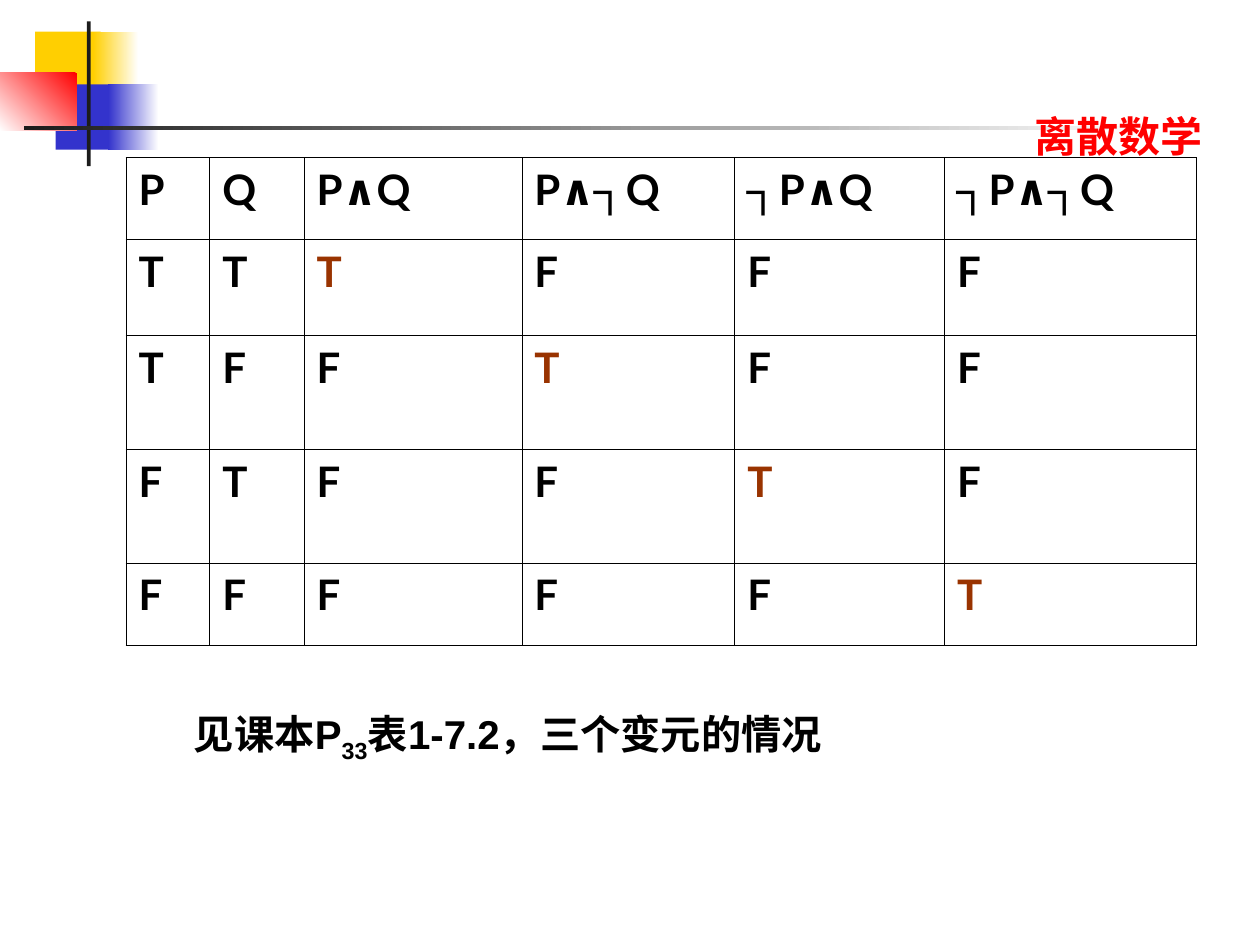
from lxml import etree
from pptx import Presentation
from pptx.dml.color import RGBColor
from pptx.enum.shapes import MSO_SHAPE
from pptx.enum.text import MSO_AUTO_SIZE, PP_ALIGN
from pptx.oxml.ns import qn
from pptx.util import Cm, Pt

RECTANGLE = MSO_SHAPE.RECTANGLE
GROW = MSO_AUTO_SIZE.SHAPE_TO_FIT_TEXT
LEFT, CENTER = PP_ALIGN.LEFT, PP_ALIGN.CENTER

WHITE = RGBColor(0xFF, 0xFF, 0xFF)
BLACK = RGBColor(0x00, 0x00, 0x00)
CHARCOAL = RGBColor(0x1C, 0x1C, 0x1C)
YELLOW = RGBColor(0xFF, 0xCF, 0x01)
BLUE = RGBColor(0x33, 0x33, 0xCC)
RED = RGBColor(0xFF, 0x00, 0x00)
BROWN = RGBColor(0x99, 0x33, 0x00)

HEADINGS = ["P", "Q", "P∧Q", "P∧┐Q", "┐P∧Q", "┐P∧┐Q"]
TRUTH_VALUES = ["TTTFFF", "TFFTFF", "FTFFTF", "FFFFFT"]
COLUMN_WIDTHS = [1.69, 1.9, 4.39, 4.29, 4.23, 5.08]
ROW_HEIGHTS = [1.65, 1.94, 2.29, 2.29, 1.65]
FIRST_MINTERM_COLUMN = 2


def write_text(paragraph, text, font="Lato", size=24, color=BLACK, align=LEFT, baseline=None):
    paragraph.alignment = align
    run = paragraph.add_run()
    run.text = text
    run.font.name = font
    run.font.size = Pt(size)
    run.font.bold = True
    run.font.color.rgb = color
    if baseline is not None:
        run.font._element.set("baseline", str(baseline * 1000))


def add_text_box(slide, left, top, width, height):
    shape = slide.shapes.add_textbox(Cm(left), Cm(top), Cm(width), Cm(height))
    shape.text_frame.word_wrap = True
    shape.text_frame.auto_size = GROW
    return shape.text_frame.paragraphs[0]


def add_block(slide, left, top, width, height, colors, angle=180):
    shape = slide.shapes.add_shape(RECTANGLE, Cm(left), Cm(top), Cm(width), Cm(height))
    shape.shadow.inherit = False
    shape.line.fill.background()
    if len(colors) == 1:
        shape.fill.solid()
        shape.fill.fore_color.rgb = colors[0]
        return
    shape.fill.gradient()
    shape.fill.gradient_angle = angle
    for stop, color in zip(shape.fill.gradient_stops, colors):
        stop.color.rgb = color


def add_emblem(slide, left, top):
    add_block(slide, left + 0.71, top + 0.21, 1.32, 1.32, [YELLOW])
    add_block(slide, left + 1.88, top + 0.21, 0.91, 1.32, [WHITE, YELLOW])
    add_block(slide, left + 1.12, top + 1.27, 1.17, 1.32, [BLUE])
    add_block(slide, left + 2.18, top + 1.27, 1.02, 1.32, [WHITE, BLUE])
    add_block(slide, left, top + 1.04, 1.55, 1.17, [RED, WHITE], angle=225)
    add_block(slide, left + 1.75, top, 0.08, 2.92, [CHARCOAL])
    add_block(slide, left + 0.48, top + 2.11, 22.86, 0.08, [WHITE, CHARCOAL])


def add_course_name(slide, left, top, width, height):
    paragraph = add_text_box(slide, left, top, width, height)
    write_text(paragraph, "离散数学", color=RED)


def add_cell_borders(cell, color, width):
    properties = cell._tc.get_or_add_tcPr()
    for index, side in enumerate(["a:lnL", "a:lnR", "a:lnT", "a:lnB"]):
        line = etree.Element(qn(side), w=str(Pt(width)))
        fill = etree.SubElement(line, qn("a:solidFill"))
        etree.SubElement(fill, qn("a:srgbClr"), val=str(color))
        properties.insert(index, line)


def add_truth_table(slide, left, top):
    rows = [HEADINGS, *TRUTH_VALUES]
    frame = slide.shapes.add_table(
        len(rows), len(HEADINGS), Cm(left), Cm(top),
        Cm(sum(COLUMN_WIDTHS)), Cm(sum(ROW_HEIGHTS)))
    table = frame.table
    table.first_row = False
    table.horz_banding = False
    for column, width in zip(table.columns, COLUMN_WIDTHS):
        column.width = Cm(width)
    for row, height in zip(table.rows, ROW_HEIGHTS):
        row.height = Cm(height)
    for row_index, values in enumerate(rows):
        for column_index, value in enumerate(values):
            cell = table.cell(row_index, column_index)
            cell.fill.background()
            add_cell_borders(cell, BLACK, 0.45)
            is_true_minterm = value == "T" and column_index >= FIRST_MINTERM_COLUMN
            write_text(cell.text_frame.paragraphs[0], value,
                       color=BROWN if is_true_minterm else BLACK)


def add_reference(slide, left, top, width, height):
    paragraph = add_text_box(slide, left, top, width, height)
    parts = [("见课本P", None), ("33", -25), ("表1-7.2，三个变元的情况", None)]
    for text, baseline in parts:
        write_text(paragraph, text, font="Arial", size=23, align=CENTER, baseline=baseline)


def main():
    presentation = Presentation()
    presentation.slide_width = Cm(25.4)
    presentation.slide_height = Cm(19.05)
    slide = presentation.slides.add_slide(presentation.slide_layouts[6])
    add_emblem(slide, 0, 0.43)
    add_course_name(slide, 20.6, 2.11, 7.42, 1.27)
    add_truth_table(slide, 2.54, 3.18)
    add_reference(slide, 2.97, 14.17, 14.55, 1.37)
    presentation.save("out.pptx")


if __name__ == "__main__":
    main()
